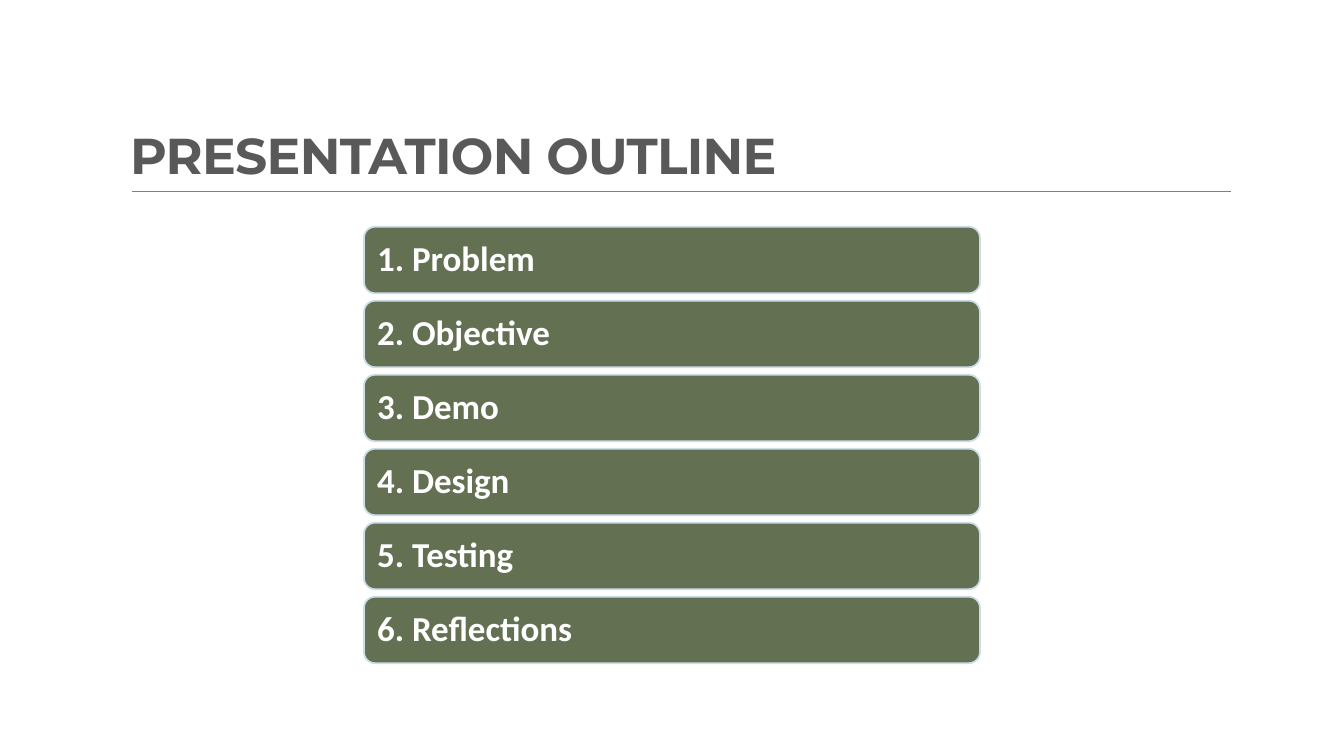
from lxml import etree
from pptx import Presentation
from pptx import util as u
from pptx.dml.color import RGBColor
from pptx.enum import shapes, text
from pptx.oxml.ns import qn

COLORS = {"title": "595959", "rule": "808080", "bar": "637052",
          "edge": "CCDDEA", "label": "FFFFFF"}
TOPICS = ["Problem", "Objective", "Demo", "Design", "Testing", "Reflections"]

# Grid of the outline, in inches
BAR_LEFT, BAR_TOP, BAR_WIDTH, BAR_HEIGHT = 3.61, 2.25, 6.11, 0.66
ROW_STEP = 0.734

TITLE_FONT = {"name": "Montserrat", "size": u.Pt(36), "bold": True}
LABEL_FONT = {"name": "Calibri", "size": u.Pt(25), "bold": True}


def rgb(name):
    return RGBColor.from_string(COLORS[name])


def inches(*lengths):
    return [u.Inches(length) for length in lengths]


def write(sp, words, font, color, anchor, spacing):
    """Put one left-aligned paragraph into a shape and return its run."""
    tf = sp.text_frame
    tf.word_wrap = True
    tf.auto_size = text.MSO_AUTO_SIZE.NONE
    tf.vertical_anchor = anchor
    p = tf.paragraphs[0]
    p.alignment = text.PP_ALIGN.LEFT
    p.line_spacing = spacing
    r = p.add_run()
    r.text = words
    for key, value in font.items():
        setattr(r.font, key, value)
    r.font.color.rgb = rgb(color)
    return r


def add_title(s, words):
    sp = s.shapes.title
    sp.left, sp.top, sp.width, sp.height = inches(1.19, 0.29, 11, 1.59)
    r = write(sp, words, TITLE_FONT, "title", text.MSO_ANCHOR.BOTTOM, 0.85)
    r.font._element.set("spc", "-50")  # letter spacing, 1/100 pt


def add_rule(s):
    line = s.shapes.add_connector(shapes.MSO_CONNECTOR.STRAIGHT,
                                  *inches(1.31, 1.9, 12.21, 1.9))
    line.line.color.rgb = rgb("rule")
    line.line.width = u.Pt(0.5)
    etree.SubElement(line._element.spPr, qn("a:effectLst"))


def add_bar(s, row, topic):
    sp = s.shapes.add_shape(
        shapes.MSO_SHAPE.ROUNDED_RECTANGLE,
        *inches(BAR_LEFT, BAR_TOP + row * ROW_STEP, BAR_WIDTH, BAR_HEIGHT))
    sp.shadow.inherit = False
    sp.fill.solid()
    sp.fill.fore_color.rgb = rgb("bar")
    sp.line.color.rgb = rgb("edge")
    sp.line.width = u.Pt(1.25)
    for side in ("left", "top", "right", "bottom"):
        setattr(sp.text_frame, f"margin_{side}", u.Inches(0.1))
    write(sp, f"{row + 1}. {topic}", LABEL_FONT, "label",
          text.MSO_ANCHOR.MIDDLE, 0.9)


def main():
    prs = Presentation()
    prs.slide_width, prs.slide_height = inches(13.33, 7.5)
    s = prs.slides.add_slide(prs.slide_layouts[5])

    # Heading with its rule
    add_title(s, "PRESENTATION OUTLINE")
    add_rule(s)

    # Outline, one bar per topic
    for row, topic in enumerate(TOPICS):
        add_bar(s, row, topic)

    prs.save("out.pptx")


if __name__ == "__main__":
    main()
